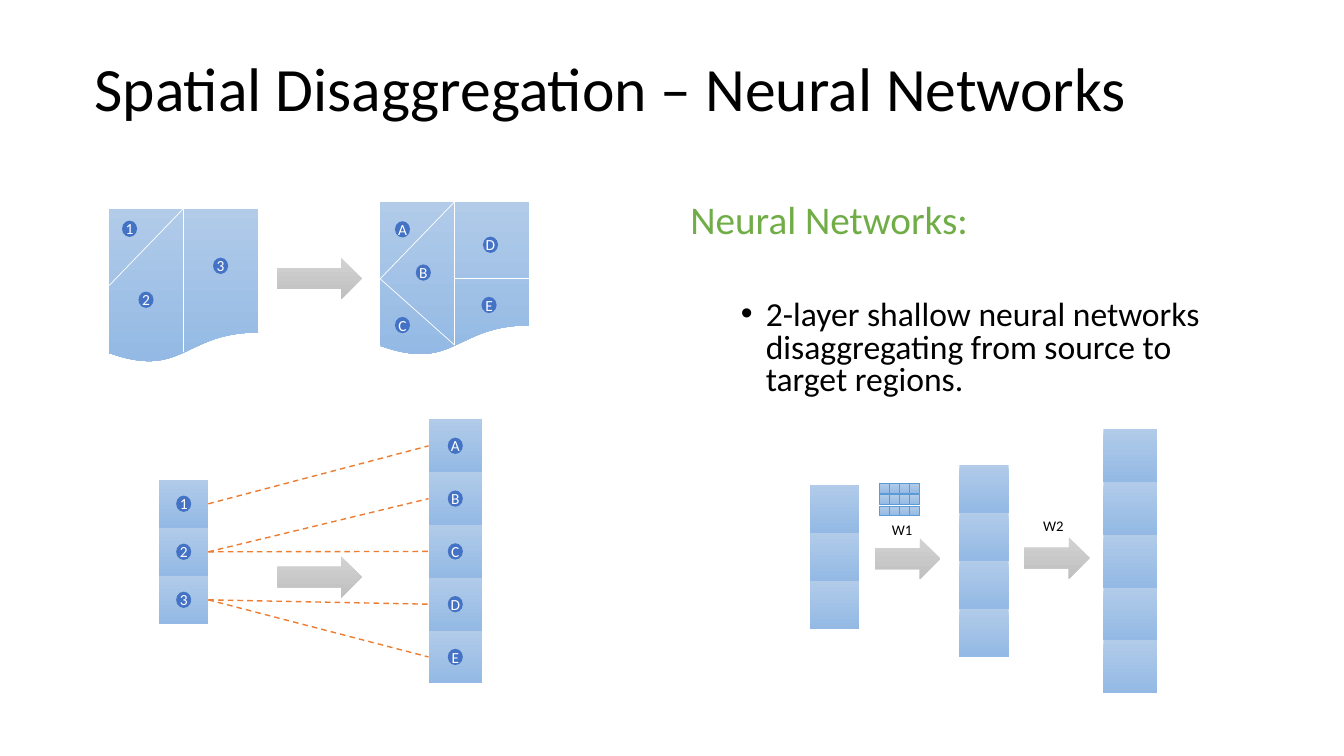
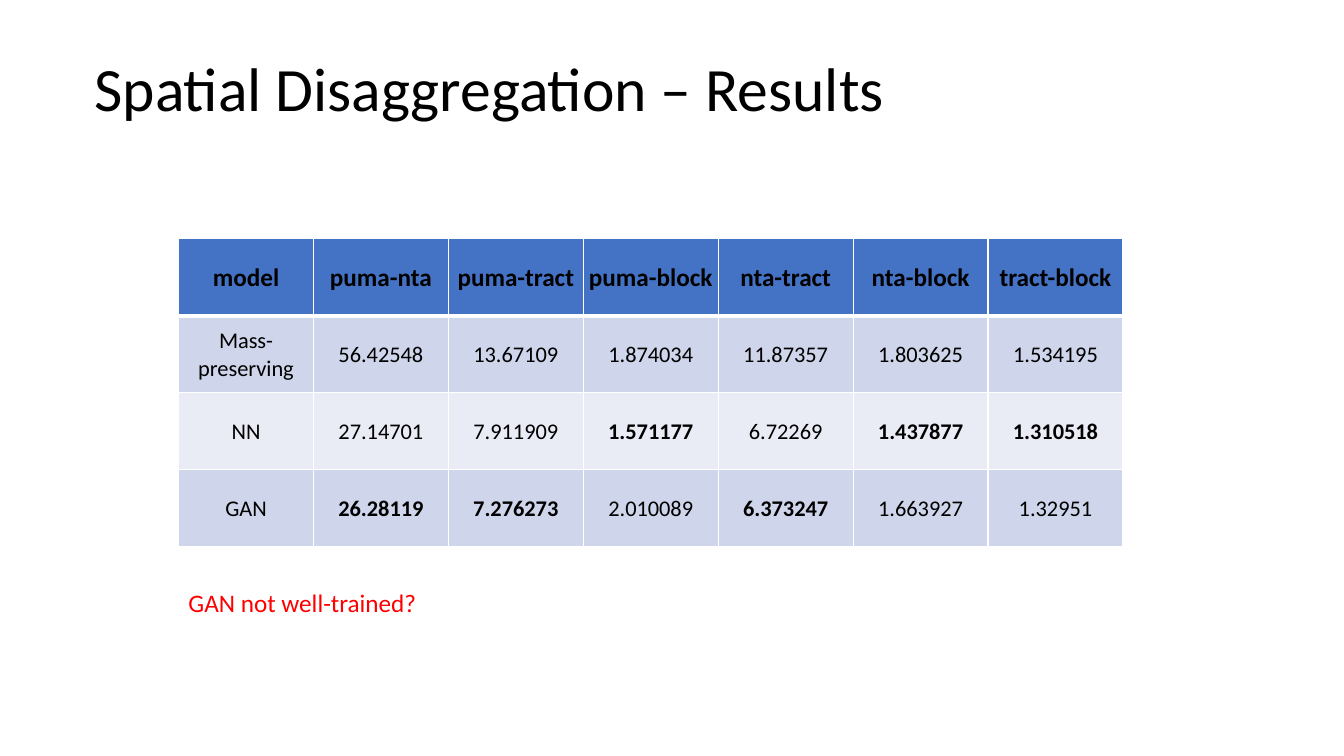
from lxml.etree import SubElement
from pptx import Presentation
from pptx.dml.color import RGBColor as RGB
from pptx.enum.dml import MSO_LINE as Dash
from pptx.enum.shapes import MSO_CONNECTOR as Conn, MSO_SHAPE as Kind
from pptx.enum.text import MSO_ANCHOR as Anchor, PP_ALIGN as Align
from pptx.oxml import parse_xml
from pptx.oxml.ns import nsdecls, qn
from pptx.util import Cm, Pt

FONT = "Calibri"
HUES = {
    "text": "000000", "white": "FFFFFF", "green": "70AD47", "red": "FF0000",
    "dot": "4472C4", "link": "ED7D31", "edge": "5B9BD5",
    "head": "4472C4", "odd": "CFD5EA", "even": "E9EBF5",
}
BLUE = ("B1CBE9", "93B9E4")
GREY = ("D2D2D2", "C0C0C0")

# All lengths are centimetres.
TITLE_BOX = (2.13, 0.48, 29.21, 3.68)
NET_TITLE = "Spatial Disaggregation – Neural Networks"
NET_HEAD = "Neural Networks:"
NET_POINT = ("2-layer shallow neural networks disaggregating "
             "from source to target regions.")

# Borders and labels are given as fractions of the map's width and height.
MAP_SIZE = (3.76, 3.89)
MAPS = [
    {"at": (2.74, 5.26),
     "cuts": [(0, 0.5, 0.5, 0), (0.5, 0.93, 0.5, 0)],
     "dots": {"1": (0.14, 0.13), "2": (0.25, 0.59), "3": (0.75, 0.37)}},
    {"at": (9.58, 5.08),
     "cuts": [(0, 0.5, 0.5, 0), (0.5, 0.93, 0.5, 0),
              (0.5, 0.5, 1, 0.5), (0, 0.5, 0.5, 0.93)],
     "dots": {"A": (0.15, 0.18), "B": (0.29, 0.46), "C": (0.15, 0.8),
              "D": (0.74, 0.28), "E": (0.73, 0.67)}},
]
SMALL, LARGE = (1.24, 1.21), (1.35, 1.33)
SOURCE = (4.01, 12.09, SMALL, "123")
TARGET = (10.8, 10.57, LARGE, "ABCDE")
LINKS = ["1A", "2B", "2C", "3D", "3E"]
LAYERS = [(20.42, 12.22, SMALL, 3), (24.18, 11.71, SMALL, 4),
          (27.81, 10.82, LARGE, 5)]
ARROWS = [(6.99, 6.5, 2.13), (6.99, 14.02, 2.13),
          (22.05, 13.56, 1.65), (25.81, 13.54, 1.65)]
WEIGHTS = [("W1", 22, 13), ("W2", 25.81, 12.9)]
GRID = {"at": (22.17, 12.19), "rows": 3, "cols": 4, "cell": 0.25, "step": 0.28}

RES_TITLE = "Spatial Disaggregation – Results"
HEADS = ["model", "puma-nta", "puma-tract", "puma-block",
         "nta-tract", "nta-block", "tract-block"]
SCORES = [
    ["Mass-preserving", "56.42548", "13.67109", "1.874034",
     "11.87357", "1.803625", "1.534195"],
    ["NN", "27.14701", "7.911909", "1.571177",
     "6.72269", "1.437877", "1.310518"],
    ["GAN", "26.28119", "7.276273", "2.010089",
     "6.373247", "1.663927", "1.32951"],
]
TABLE_AT, CELL = (4.5, 6.02), (3.4, 1.94)
NOTE, NOTE_BOX = "GAN not well-trained?", (4.5, 14.68, 8.28, 1.02)


def cms(*nums):
    return [Cm(n) for n in nums]


def style(para, size, hue="text", bold=False, align=Align.LEFT):
    para.alignment = align
    for run in para.runs:
        font = run.font
        font.name, font.size, font.bold = FONT, Pt(size), bold
        font.color.rgb = RGB.from_string(HUES[hue])


def text(slide, words, box, size, hue="text", align=Align.LEFT):
    frame = slide.shapes.add_textbox(*cms(*box)).text_frame
    frame.word_wrap = True
    frame.text = words
    style(frame.paragraphs[0], size, hue, align=align)
    return frame


def title(slide, words):
    frame = text(slide, words, TITLE_BOX, 44)
    frame.vertical_anchor = Anchor.MIDDLE
    frame.paragraphs[0].line_spacing = 0.9


def shape(slide, kind, box, fade=None, edge=None):
    """Add a flat shape, with a top-to-bottom fade if one is given."""
    item = slide.shapes.add_shape(kind, *cms(*box))
    item.shadow.inherit = False
    if fade:
        item.fill.gradient()
        item.fill.gradient_angle = 270
        for stop, hue in zip(item.fill.gradient_stops, fade):
            stop.color.rgb = RGB.from_string(hue)
    if edge:
        item.line.color.rgb = RGB.from_string(HUES[edge])
        item.line.width = Pt(0.5)
    else:
        item.line.fill.background()
    return item


def line(slide, ends, hue, width, dash=None):
    item = slide.shapes.add_connector(Conn.STRAIGHT, *cms(*ends))
    item.line.color.rgb = RGB.from_string(HUES[hue])
    item.line.width = Pt(width)
    if dash:
        item.line.dash_style = dash
    SubElement(item._element.spPr, qn("a:effectLst"))


def dot(slide, label, x, y):
    """Add a labelled disc centred on x, y."""
    wide, high = 0.38, 0.41
    item = shape(slide, Kind.OVAL, (x - wide / 2, y - high / 2, wide, high))
    item.fill.solid()
    item.fill.fore_color.rgb = RGB.from_string(HUES["dot"])
    frame = item.text_frame
    frame.margin_left = frame.margin_right = 0
    frame.margin_top = frame.margin_bottom = 0
    frame.word_wrap = False
    frame.vertical_anchor = Anchor.MIDDLE
    frame.text = label
    style(frame.paragraphs[0], 11, "white", align=Align.CENTER)


def region(slide, spec):
    left, top = spec["at"]
    wide, high = MAP_SIZE

    def place(x, y):
        return left + x * wide, top + y * high

    shape(slide, Kind.FLOWCHART_DOCUMENT, (left, top, wide, high), BLUE)
    for x1, y1, x2, y2 in spec["cuts"]:
        line(slide, place(x1, y1) + place(x2, y2), "white", 0.5)
    for label, spot in spec["dots"].items():
        dot(slide, label, *place(*spot))


def stack(slide, left, top, size, count):
    """Add a column of cells and return the middle height of each."""
    wide, high = size
    for i in range(count):
        shape(slide, Kind.RECTANGLE, (left, top + i * high, wide, high), BLUE)
    return [top + (i + 0.5) * high for i in range(count)]


def vector(slide, left, top, size, labels):
    """Add a labelled stack and return the height of each label."""
    mids = dict(zip(labels, stack(slide, left, top, size, len(labels))))
    for label, y in mids.items():
        dot(slide, label, left + size[0] / 2, y)
    return mids


def points(slide):
    frame = text(slide, NET_HEAD, (17.15, 5.03, 14.45, 5.64), 28, "green")
    frame.paragraphs[0].line_spacing = 0.8
    para = frame.add_paragraph()
    para.text = NET_POINT
    para.line_spacing = 0.8
    para.space_before = Pt(42)
    props = para._p.get_or_add_pPr()
    props.set("marL", str(Cm(1.9)))
    props.set("indent", str(-Cm(0.63)))
    SubElement(props, qn("a:buFont")).set("typeface", "Arial")
    SubElement(props, qn("a:buChar")).set("char", "•")
    style(para, 24)


def network(slide):
    title(slide, NET_TITLE)
    points(slide)
    for spec in MAPS:
        region(slide, spec)
    for x, y, wide in ARROWS:
        shape(slide, Kind.RIGHT_ARROW, (x, y, wide, 1.04), GREY)
    starts, stops = vector(slide, *SOURCE), vector(slide, *TARGET)
    for a, b in LINKS:
        ends = (SOURCE[0] + SMALL[0], starts[a], TARGET[0], stops[b])
        line(slide, ends, "link", 1, Dash.DASH)
    for layer in LAYERS:
        stack(slide, *layer)
    for label, x, y in WEIGHTS:
        text(slide, label, (x, y, 1.47, 0.71), 10.5, align=Align.CENTER)
    (left, top), side = GRID["at"], GRID["cell"]
    for row in range(GRID["rows"]):
        for col in range(GRID["cols"]):
            box = (left + col * side, top + row * GRID["step"], side, side)
            shape(slide, Kind.RECTANGLE, box, BLUE, "edge")


def border(cell, top, bottom):
    """Give a cell white borders, with its top and bottom widths in points."""
    props = cell._tc.get_or_add_tcPr()
    sides = {"L": 1, "R": 1, "T": top, "B": bottom}
    for i, (side, width) in enumerate(sides.items()):
        props.insert(i, parse_xml(
            f'<a:ln{side} {nsdecls("a")} w="{Pt(width)}"><a:solidFill>'
            f'<a:srgbClr val="{HUES["white"]}"/></a:solidFill></a:ln{side}>'))


def results(slide):
    title(slide, RES_TITLE)
    rows = [HEADS] + SCORES
    wide, high = CELL
    size = (wide * len(HEADS), high * len(rows))
    table = slide.shapes.add_table(
        len(rows), len(HEADS), *cms(*TABLE_AT, *size)).table
    for col in table.columns:
        col.width = Cm(wide)
    best = [None] + [min(col, key=float) for col in list(zip(*SCORES))[1:]]
    for r, row in enumerate(rows):
        table.rows[r].height = Cm(high)
        hue = "head" if r == 0 else "odd" if r % 2 else "even"
        for c, words in enumerate(row):
            cell = table.cell(r, c)
            cell.fill.solid()
            cell.fill.fore_color.rgb = RGB.from_string(HUES[hue])
            border(cell, 3 if r == 1 else 1, 3 if r == 0 else 1)
            cell.margin_left = cell.margin_right = cell.margin_top = Cm(0.03)
            cell.margin_bottom = 0
            cell.vertical_anchor = Anchor.MIDDLE
            cell.text = words
            style(cell.text_frame.paragraphs[0], 16 if r else 18,
                  bold=r == 0 or words == best[c], align=Align.CENTER)
    text(slide, NOTE, NOTE_BOX, 18, "red")


def main():
    deck = Presentation()
    deck.slide_width, deck.slide_height = cms(33.87, 19.05)
    for build in (network, results):
        build(deck.slides.add_slide(deck.slide_layouts[6]))
    deck.save("out.pptx")


if __name__ == "__main__":
    main()
